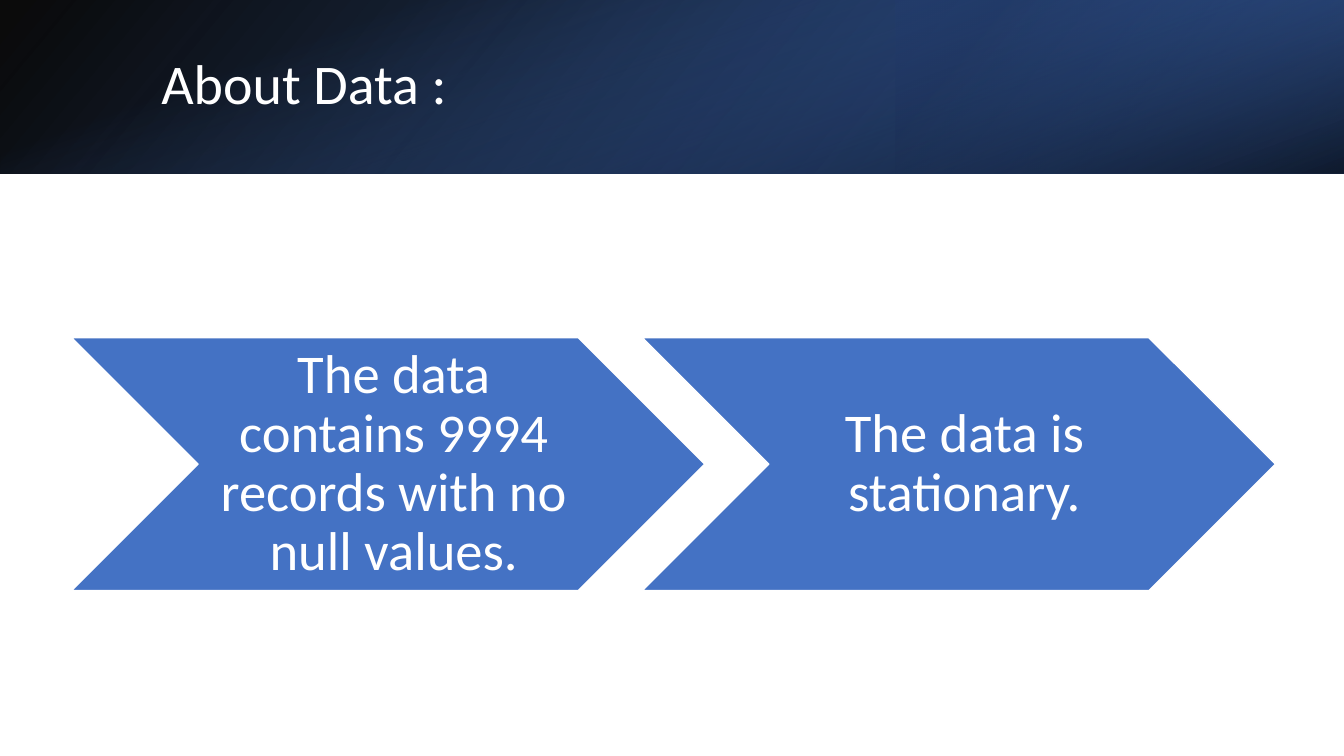
from dataclasses import dataclass

from lxml import etree
from pptx import Presentation
from pptx.dml.color import RGBColor
from pptx.enum.shapes import MSO_SHAPE
from pptx.enum.text import MSO_ANCHOR, PP_ALIGN
from pptx.oxml.ns import qn
from pptx.shapes.group import GroupShape
from pptx.slide import Slide
from pptx.text.text import TextFrame
from pptx.util import Inches, Pt

RECT, CHEVRON = MSO_SHAPE.RECTANGLE, MSO_SHAPE.CHEVRON
MIDDLE = MSO_ANCHOR.MIDDLE
LEFT, CENTER = PP_ALIGN.LEFT, PP_ALIGN.CENTER

WHITE = RGBColor(0xFF, 0xFF, 0xFF)
BLACK = RGBColor(0x00, 0x00, 0x00)
BLUE = RGBColor(0x44, 0x72, 0xC4)
DEEP = RGBColor(0x2F, 0x55, 0x97)
NAVY = RGBColor(0x20, 0x38, 0x64)

FONT = "Calibri"
WIDE, HIGH, BAND = 13.33, 7.5, 1.72


@dataclass
class Stop:
    """A gradient stop; place and alpha are percentages."""
    place: int
    color: RGBColor
    alpha: int


@dataclass
class Layer:
    """One gradient layer of the header band."""
    box: tuple[float, float, float, float]
    turn: int
    flip: bool
    angle: int
    stops: tuple[Stop, Stop]


LAYERS = (
    Layer((0, 0, WIDE, BAND), 0, True, 140,
          (Stop(0, BLACK, 96), Stop(100, DEEP, 100))),
    Layer((WIDE * 2 / 3, 0, WIDE / 3, BAND), 180, True, 320,
          (Stop(19, NAVY, 68), Stop(100, BLUE, 79))),
    # A quarter turn swaps width and height about the band's centre.
    Layer(((WIDE - BAND) / 2, (BAND - WIDE) / 2, BAND, WIDE), 90, False, 340,
          (Stop(23, BLUE, 0), Stop(99, BLACK, 74))),
)

FACTS = (
    "The data contains 9994 records with no null values.",
    "The data\u00a0is stationary.",
)
FACT_X, FACT_Y, STEP = 0.71, 3.35, 5.66
FACT_W, FACT_H = 6.28, 2.51


def add_layer(slide: Slide, layer: Layer) -> None:
    """Draw a rectangle with a partly transparent linear gradient."""
    shape = slide.shapes.add_shape(RECT, *map(Inches, layer.box))
    shape.shadow.inherit = False
    shape.line.fill.background()
    shape.rotation = layer.turn
    props = shape.element.spPr
    if layer.flip:
        props.find(qn("a:xfrm")).set("flipH", "1")
    grad = etree.Element(qn("a:gradFill"), rotWithShape="1")
    stops = etree.SubElement(grad, qn("a:gsLst"))
    for stop in layer.stops:
        mark = etree.SubElement(stops, qn("a:gs"), pos=str(stop.place * 1000))
        color = etree.SubElement(mark, qn("a:srgbClr"), val=str(stop.color))
        etree.SubElement(color, qn("a:alpha"), val=str(stop.alpha * 1000))
    etree.SubElement(grad, qn("a:lin"), ang=str(layer.angle * 60000), scaled="0")
    props.find(qn("a:prstGeom")).addnext(grad)


def set_text(frame: TextFrame, text: str, size: int, align: PP_ALIGN) -> None:
    """Fill a frame with one white, vertically centred paragraph."""
    frame.word_wrap = True
    frame.vertical_anchor = MIDDLE
    frame.text = text
    para = frame.paragraphs[0]
    para.alignment = align
    para.line_spacing = 0.9
    para.font.name = FONT
    para.font.size = Pt(size)
    para.font.color.rgb = WHITE


def add_fact(group: GroupShape, left: float, text: str) -> None:
    """Draw a chevron with its text between notch and point."""
    arrow = group.shapes.add_shape(
        CHEVRON, Inches(left), Inches(FACT_Y), Inches(FACT_W), Inches(FACT_H))
    arrow.shadow.inherit = False
    arrow.fill.solid()
    arrow.fill.fore_color.rgb = BLUE
    arrow.line.color.rgb = WHITE
    arrow.line.width = Pt(1)
    notch = FACT_H / 2
    label = group.shapes.add_textbox(
        Inches(left + notch), Inches(FACT_Y),
        Inches(FACT_W - 2 * notch), Inches(FACT_H))
    frame = label.text_frame
    frame.margin_left = Inches(0.17)
    frame.margin_top = frame.margin_right = frame.margin_bottom = Inches(0.06)
    set_text(frame, text, 39, CENTER)


def add_title(slide: Slide, text: str) -> None:
    """Place the title in front of the header band."""
    title = slide.shapes.title
    title.left, title.top = Inches(1.5), Inches(0.38)
    title.width, title.height = Inches(10.98), Inches(0.96)
    set_text(title.text_frame, text, 40, LEFT)
    slide.shapes.element.append(title.element)


def main() -> None:
    """Build and save the slide."""
    deck = Presentation()
    deck.slide_width, deck.slide_height = Inches(WIDE), Inches(HIGH)
    slide = deck.slides.add_slide(deck.slide_layouts[5])
    for layer in LAYERS:
        add_layer(slide, layer)
    add_title(slide, "About Data :\u00a0")
    group = slide.shapes.add_group_shape()
    for index, fact in enumerate(FACTS):
        add_fact(group, FACT_X + index * STEP, fact)
    deck.save("out.pptx")


main()
